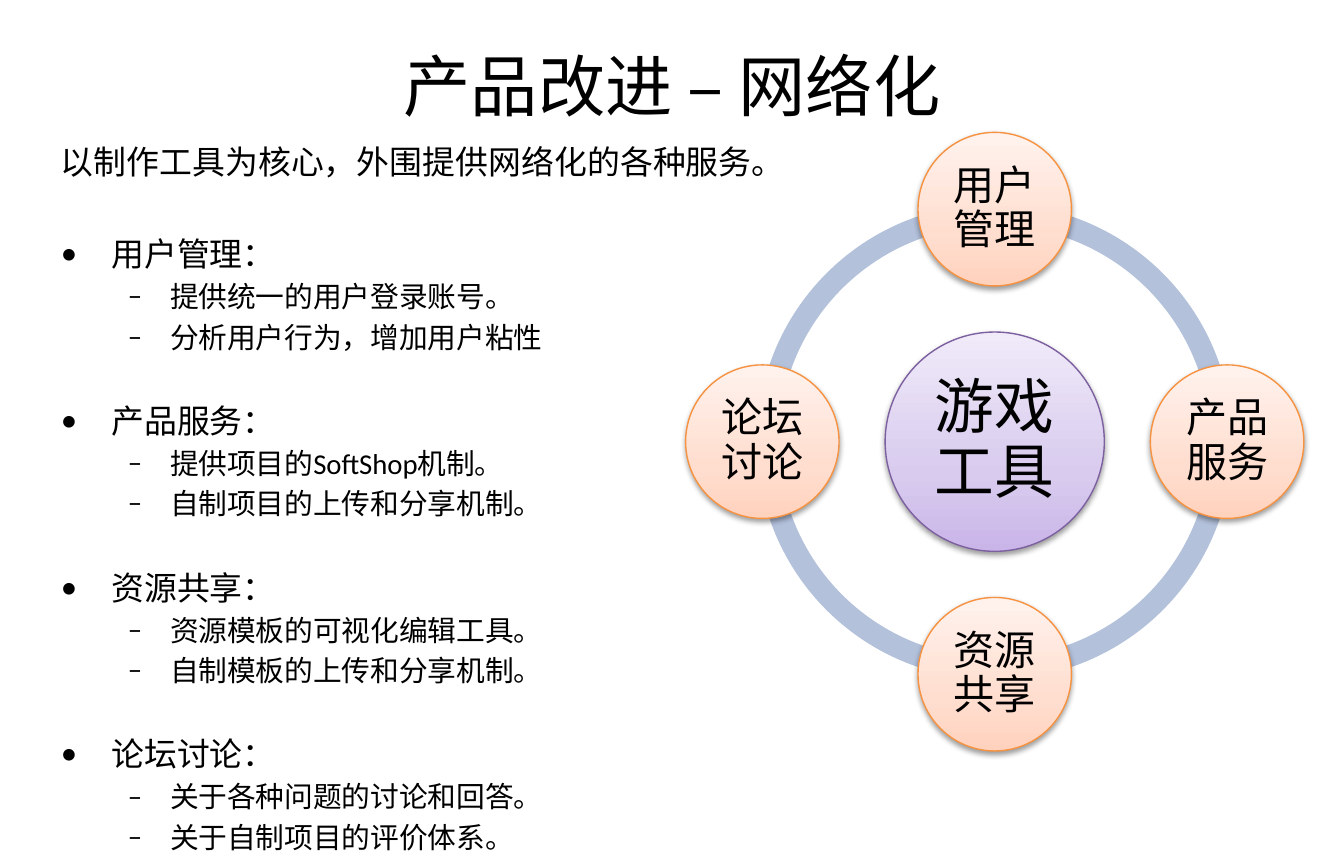
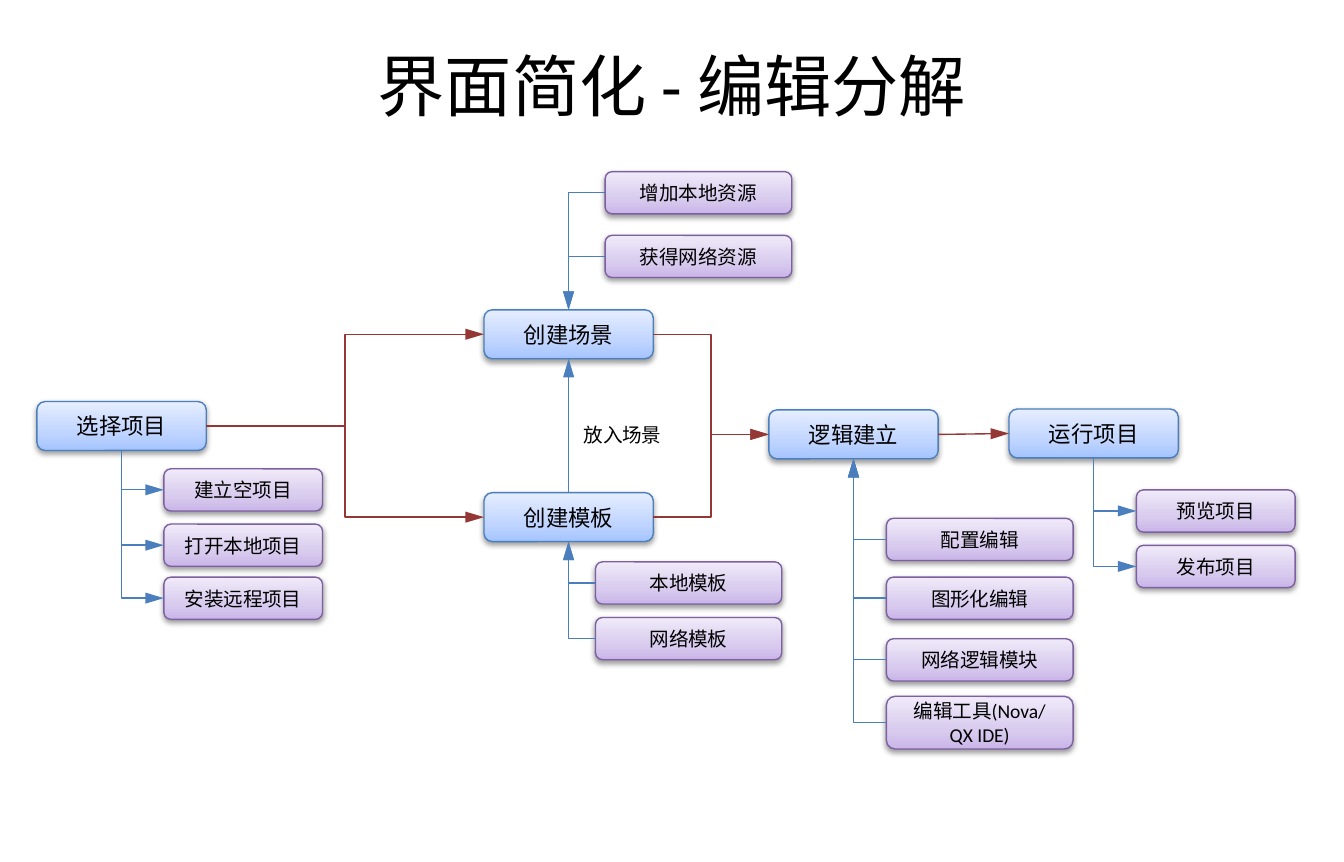
import math
from dataclasses import dataclass

import lxml.etree
import pptx
import pptx.dml.color
import pptx.enum.shapes
import pptx.enum.text
import pptx.oxml.ns
import pptx.util

Pt = pptx.util.Pt
qn = pptx.oxml.ns.qn
Kind = pptx.enum.shapes.MSO_SHAPE
Link = pptx.enum.shapes.MSO_CONNECTOR
Align = pptx.enum.text.PP_ALIGN
Anchor = pptx.enum.text.MSO_ANCHOR

TOP, LEFT, BOTTOM, RIGHT = range(4)


@dataclass(frozen=True)
class Paint:
    dark: str
    mid: str
    light: str
    edge: str


@dataclass(frozen=True)
class Theme:
    font: str = "Calibri"
    ink: str = "000000"
    ring: str = "B3C1DB"
    flow: str = "953735"
    blue: Paint = Paint("A4C4FF", "BFD4FF", "E6EEFF", "4B7EBC")
    plum: Paint = Paint("C9B5E8", "D8CBEE", "F0EAF9", "7D60A0")
    peach: Paint = Paint("FFD2BD", "FFDED0", "FFF2ED", "F69240")
    stroke: float = 0.75
    title: float = 36
    hub: float = 32
    node: float = 22
    head: float = 17.6
    item: float = 15.4
    step: float = 12
    leaf: float = 10.5


LOOK = Theme()


def rgb(code):
    return pptx.dml.color.RGBColor.from_string(code)


def add_node(parent, tag, **attrs):
    node = lxml.etree.SubElement(parent, qn(tag))
    for key, value in attrs.items():
        node.set(key, str(value))
    return node


def write(frame, text, size=LOOK.item, align=Align.CENTER, before=0, lines=None,
          bullet=None, level=0, left=0, hang=0):
    para = frame.paragraphs[0]
    if para.runs:
        para = frame.add_paragraph()
    para.alignment = align
    para.level = level
    para.space_before = Pt(before)
    if lines:
        para.line_spacing = lines
    if bullet:
        props = para._p.get_or_add_pPr()
        props.set("marL", str(Pt(left)))
        props.set("indent", str(-Pt(hang)))
        add_node(props, "a:buFont", typeface=LOOK.font)
        add_node(props, "a:buChar", char=bullet)
    run = para.add_run()
    run.text = text
    run.font.size = Pt(size)
    run.font.name = LOOK.font
    run.font.color.rgb = rgb(LOOK.ink)


def add_text(slide, x, y, wide, high, anchor=Anchor.MIDDLE):
    frame = slide.shapes.add_textbox(Pt(x), Pt(y), Pt(wide), Pt(high)).text_frame
    frame.word_wrap = True
    frame.vertical_anchor = anchor
    return frame


def add_title(slide, text):
    write(add_text(slide, 36, 18.2, 648, 54), text, size=LOOK.title)


def add_box(slide, kind, x, y, wide, high, paint):
    shape = slide.shapes.add_shape(kind, Pt(x), Pt(y), Pt(wide), Pt(high))
    shape.fill.gradient()
    shape.fill.gradient_angle = 90
    stops = shape._element.spPr.find(".//" + qn("a:gsLst"))
    for old in list(stops):
        stops.remove(old)
    for place, code in ((0, paint.dark), (35, paint.mid), (100, paint.light)):
        stop = add_node(stops, "a:gs", pos=place * 1000)
        add_node(stop, "a:srgbClr", val=code)
    shape.line.color.rgb = rgb(paint.edge)
    shape.line.width = Pt(LOOK.stroke)
    shape.shadow.inherit = False
    glow = add_node(shape._element.spPr.find(qn("a:effectLst")), "a:outerShdw",
                    blurRad=Pt(3.1), dist=Pt(1.6), dir=5400000, rotWithShape=0)
    shade = add_node(glow, "a:srgbClr", val="000000")
    add_node(shade, "a:alpha", val=38000)
    shape.text_frame.word_wrap = True
    shape.text_frame.vertical_anchor = Anchor.MIDDLE
    return shape


def add_disc(slide, mid_x, mid_y, size, text, paint, type_size, inset):
    disc = add_box(slide, Kind.OVAL, mid_x - size / 2, mid_y - size / 2, size, size, paint)
    frame = disc.text_frame
    frame.margin_left = frame.margin_right = Pt(inset)
    frame.margin_top = frame.margin_bottom = Pt(inset)
    write(frame, text, size=type_size, lines=0.9)


def add_ring(slide, mid_x, mid_y, size):
    for start, end in ((108, 162), (54, 108), (0, 54), (162, 0)):
        arc = slide.shapes.add_shape(Kind.BLOCK_ARC, Pt(mid_x - size / 2),
                                     Pt(mid_y - size / 2), Pt(size), Pt(size))
        for slot, value in enumerate((start, end, 0.046)):
            arc.adjustments[slot] = value
        arc.fill.solid()
        arc.fill.fore_color.rgb = rgb(LOOK.ring)
        arc.line.fill.background()
        arc.shadow.inherit = False


def add_step(slide, text, x, y):
    step = add_box(slide, Kind.ROUNDED_RECTANGLE, x, y, 90.7, 26.2, LOOK.blue)
    write(step.text_frame, text, size=LOOK.step)
    return step


def add_link(slide, start, site, goal, port, color, kind=Link.ELBOW,
             corner=False, arrow="a:tailEnd"):
    link = slide.shapes.add_connector(kind, 0, 0, 0, 0)
    link.begin_connect(start, site)
    link.end_connect(goal, port)
    link.line.color.rgb = rgb(color)
    link.line.width = Pt(LOOK.stroke)
    props = link._element.spPr
    if corner:
        props.find(qn("a:prstGeom")).set("prst", "bentConnector2")
    add_node(props.find(qn("a:ln")), arrow, type="triangle", len="lg")
    add_node(props, "a:effectLst")


def add_leaves(slide, step, port, x, wide, leaves, arrow="a:tailEnd"):
    for text, y, high in leaves:
        leaf = add_box(slide, Kind.ROUNDED_RECTANGLE, x, y, wide, high, LOOK.plum)
        write(leaf.text_frame, text, size=LOOK.leaf)
        add_link(slide, leaf, LEFT, step, port, LOOK.blue.edge, corner=True, arrow=arrow)


def draw_web(slide):
    add_title(slide, "产品改进 – 网络化")
    mid_x, mid_y, reach = 532.9, 236.5, 124.5
    add_ring(slide, mid_x, mid_y, 254.9)
    add_disc(slide, mid_x, mid_y, 117.4, "游戏工具", LOOK.plum, LOOK.hub, 2.9)
    for turn, text in enumerate(("用户管理", "产品服务", "资源共享", "论坛讨论")):
        angle = math.radians(90 * turn - 90)
        add_disc(slide, mid_x + reach * math.cos(angle), mid_y + reach * math.sin(angle),
                 82.2, text, LOOK.peach, LOOK.node, 2.2)

    topics = (
        ("用户管理：", "提供统一的用户登录账号。", "分析用户行为，增加用户粘性"),
        ("产品服务：", "提供项目的SoftShop机制。", "自制项目的上传和分享机制。"),
        ("资源共享：", "资源模板的可视化编辑工具。", "自制模板的上传和分享机制。"),
        ("论坛讨论：", "关于各种问题的讨论和回答。", "关于自制项目的评价体系。"),
    )
    body = add_text(slide, 25.5, 72.5, 470.9, 339.8, anchor=Anchor.TOP)
    write(body, "以制作工具为核心，外围提供网络化的各种服务。",
          size=LOOK.head, align=Align.LEFT, before=1.5)
    gap = 28
    for head, *items in topics:
        write(body, head, size=LOOK.head, align=Align.LEFT, before=gap,
              bullet="•", left=27, hang=27)
        gap = 25
        for item in items:
            write(body, item, align=Align.LEFT, before=3.1,
                  bullet="–", level=1, left=58.5, hang=22.5)


def draw_flow(slide):
    add_title(slide, "界面简化 - 编辑分解")
    pick = add_step(slide, "选择项目", 19.8, 215)
    scene = add_step(slide, "创建场景", 259.3, 165.9)
    mold = add_step(slide, "创建模板", 259.3, 263.8)
    logic = add_step(slide, "逻辑建立", 411.9, 219.5)
    play = add_step(slide, "运行项目", 540.6, 219)

    for step in (scene, mold):
        add_link(slide, pick, RIGHT, step, LEFT, LOOK.flow)
        add_link(slide, step, RIGHT, logic, LEFT, LOOK.flow)
    add_link(slide, logic, RIGHT, play, LEFT, LOOK.flow, kind=Link.STRAIGHT)
    add_link(slide, mold, TOP, scene, BOTTOM, LOOK.blue.edge, kind=Link.STRAIGHT)
    write(add_text(slide, 298, 221.2, 71, 22.6), "放入场景", size=LOOK.leaf)

    high = 22.6
    add_leaves(slide, pick, BOTTOM, 87.8, 85, (
        ("建立空项目", 251, high), ("打开本地项目", 280.6, high),
        ("安装远程项目", 309, high)), arrow="a:headEnd")
    add_leaves(slide, scene, TOP, 324.2, 100, (
        ("增加本地资源", 91.9, high), ("获得网络资源", 126, high)))
    add_leaves(slide, mold, BOTTOM, 319, 99.8, (
        ("本地模板", 300.8, high), ("网络模板", 330.6, high)))
    add_leaves(slide, logic, BOTTOM, 474.9, 100, (
        ("配置编辑", 277.5, high), ("图形化编辑", 309, high),
        ("网络逻辑模块", 342, high), ("编辑工具(Nova/QX IDE)", 372.8, 28.2)))
    add_leaves(slide, play, BOTTOM, 608.8, 85, (
        ("预览项目", 262.3, high), ("发布项目", 292, high)), arrow="a:headEnd")


def main():
    deck = pptx.Presentation()
    deck.slide_width = Pt(720)
    deck.slide_height = Pt(461.52)
    blank = deck.slide_layouts[6]
    draw_web(deck.slides.add_slide(blank))
    draw_flow(deck.slides.add_slide(blank))
    deck.save("out.pptx")


main()
